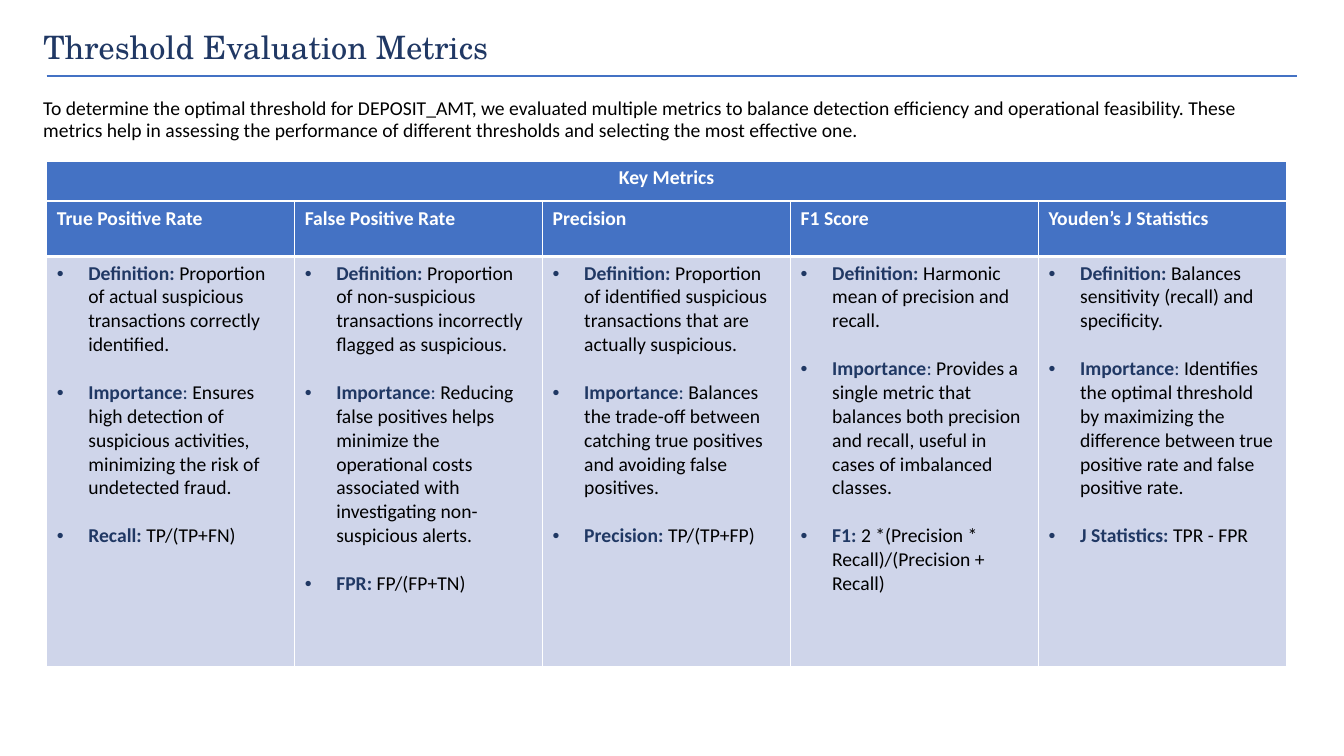
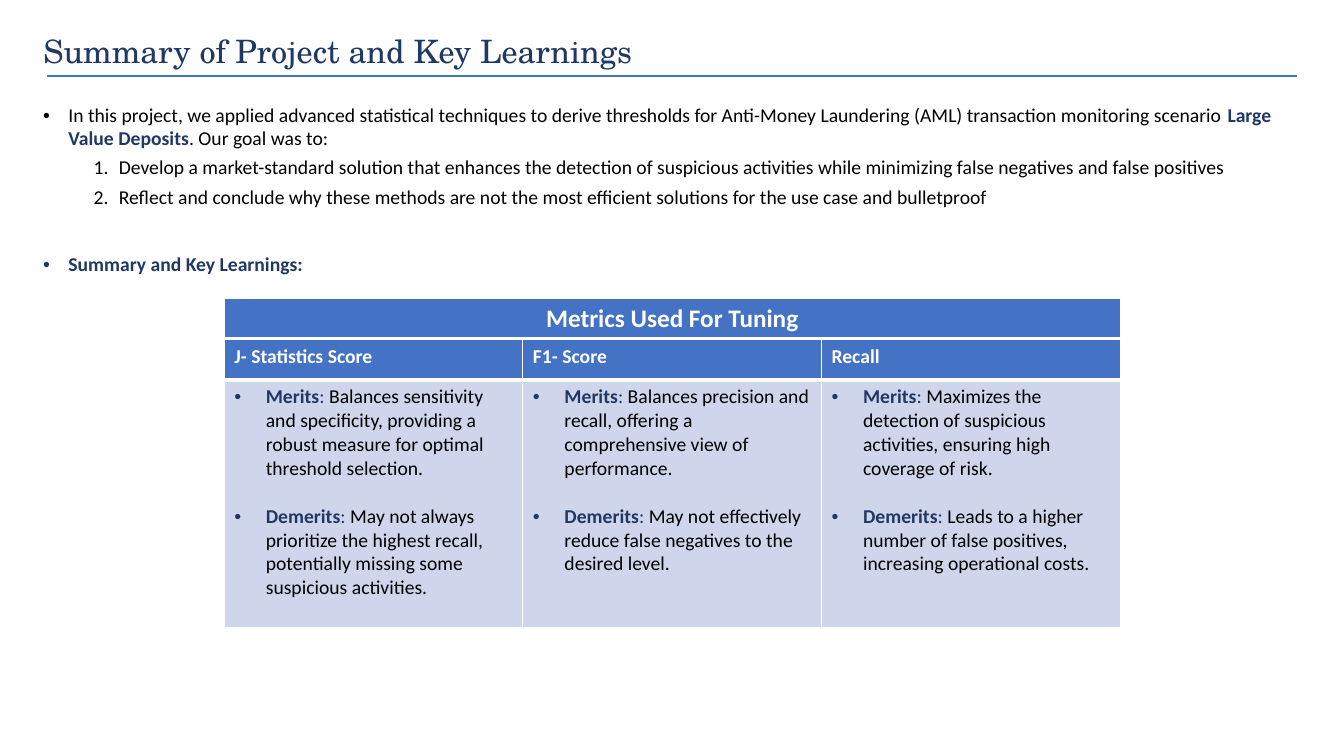
from dataclasses import dataclass

from lxml.etree import SubElement
from pptx import Presentation
from pptx.dml.color import RGBColor
from pptx.enum.shapes import MSO_CONNECTOR
from pptx.enum.text import PP_ALIGN
from pptx.oxml.ns import qn
from pptx.util import Pt

NAVY, BLUE, PALE, BLACK, WHITE = "203864", "4472C4", "CFD5EA", "000000", "FFFFFF"
BODY_FONT, TITLE_FONT = "Calibri", "TeX Gyre Schola"
BODY_SIZE, BLANK_LINE = 14, 17.1
BODY_LEFT, BODY_WIDTH = 23.8, 902.9


@dataclass(frozen=True)
class Span:
    text: str
    color: str = BLACK
    bold: bool = False


@dataclass(frozen=True)
class Point:
    label: str
    text: str

    def spans(self) -> list[Span]:
        """Bold label and plain text; a label without a colon gets a light one."""
        colon = [] if self.label.endswith(": ") else [Span(": ", NAVY)]
        return [Span(self.label, NAVY, True), *colon, Span(self.text)]


@dataclass(frozen=True)
class Column:
    heading: str
    points: list[Point]


@dataclass(frozen=True)
class MetricTable:
    title: str
    title_size: float
    left: float
    top: float
    width: float
    title_height: float
    heading_height: float
    body_height: float
    columns: list[Column]


def rgb(color: str) -> RGBColor:
    return RGBColor.from_string(color)


def set_font(font, size: float, name: str = BODY_FONT) -> None:
    font.size = Pt(size)
    font.name = name


def add_spans(para, spans: list[Span]) -> None:
    set_font(para.font, BODY_SIZE)
    for span in spans:
        run = para.add_run()
        run.text = span.text
        run.font.color.rgb = rgb(span.color)
        run.font.bold = span.bold


def set_bullet(para, margin: float, hanging: float, color: str, numbered: bool = False) -> None:
    properties = para._p.get_or_add_pPr()
    properties.set("marL", str(Pt(margin)))
    properties.set("indent", str(-Pt(hanging)))
    SubElement(SubElement(properties, qn("a:buClr")), qn("a:srgbClr"), val=color)
    if numbered:
        SubElement(properties, qn("a:buFont"), typeface=BODY_FONT)
        SubElement(properties, qn("a:buAutoNum"), type="arabicPeriod")
    else:
        SubElement(properties, qn("a:buFont"), typeface="Arial")
        SubElement(properties, qn("a:buChar"), char="•")


def add_paragraph(frame, first: bool):
    return frame.paragraphs[0] if first else frame.add_paragraph()


def add_text_box(page, left: float, top: float, width: float, height: float):
    frame = page.shapes.add_textbox(Pt(left), Pt(top), Pt(width), Pt(height)).text_frame
    frame.word_wrap = True
    return frame


def add_titled_page(deck, title: str, title_top: float):
    page = deck.slides.add_slide(deck.slide_layouts[6])
    rule = page.shapes.add_connector(
        MSO_CONNECTOR.STRAIGHT, Pt(33.4), Pt(54.2), Pt(926.6), Pt(54.2))
    rule.line.color.rgb = rgb(BLUE)
    rule.line.width = Pt(1)
    SubElement(rule._element.spPr, qn("a:effectLst"))
    para = add_text_box(page, BODY_LEFT, title_top, 785.5, 36).paragraphs[0]
    para.text = title
    set_font(para.font, 23, TITLE_FONT)
    para.font.color.rgb = rgb(NAVY)
    return page


def style_cell(cell, fill: str, bottom_border: float) -> None:
    properties = cell._tc.get_or_add_tcPr()
    for side, width in (("L", 1), ("R", 1), ("T", 1), ("B", bottom_border)):
        border = SubElement(properties, qn(f"a:ln{side}"), w=str(Pt(width)))
        SubElement(SubElement(border, qn("a:solidFill")), qn("a:srgbClr"), val=WHITE)
    cell.fill.solid()
    cell.fill.fore_color.rgb = rgb(fill)


def fill_heading(cell, text: str, size: float = BODY_SIZE):
    style_cell(cell, BLUE, 3)
    para = cell.text_frame.paragraphs[0]
    para.text = text
    set_font(para.font, size)
    para.font.bold = True
    para.font.color.rgb = rgb(WHITE)
    return para


def fill_points(cell, points: list[Point]) -> None:
    style_cell(cell, PALE, 1)
    for index, point in enumerate(points):
        para = add_paragraph(cell.text_frame, index == 0)
        set_bullet(para, 22.5, 22.5, NAVY)
        para.space_before = Pt(BLANK_LINE if index else 0)
        add_spans(para, point.spans())


def add_grid(page, left: float, top: float, width: float, heights: list[float], columns: int):
    grid = page.shapes.add_table(
        len(heights), columns, Pt(left), Pt(top), Pt(width), Pt(sum(heights))).table
    for row, height in zip(grid.rows, heights):
        row.height = Pt(height)
    return grid


def add_metric_table(page, table: MetricTable) -> None:
    banner = add_grid(page, table.left, table.top, table.width, [table.title_height], 1)
    fill_heading(banner.cell(0, 0), table.title, table.title_size).alignment = PP_ALIGN.CENTER
    grid = add_grid(page, table.left, table.top + table.title_height, table.width,
                    [table.heading_height, table.body_height], len(table.columns))
    for index, column in enumerate(table.columns):
        fill_heading(grid.cell(0, index), column.heading)
        fill_points(grid.cell(1, index), column.points)


def metric(heading: str, definition: str, importance: str, label: str, formula: str) -> Column:
    return Column(heading, [Point("Definition: ", definition),
                            Point("Importance", importance),
                            Point(label, formula)])


def tuning(heading: str, merits: str, demerits: str) -> Column:
    return Column(heading, [Point("Merits", merits), Point("Demerits", demerits)])


KEY_METRICS = MetricTable(
    "Key Metrics", 14, 33.4, 115, 885.6, 29.2, 39, 293, [
        metric("True Positive Rate",
               "Proportion of actual suspicious transactions correctly identified.",
               "Ensures high detection of suspicious activities, minimizing the risk of "
               "undetected fraud.",
               "Recall: ", "TP/(TP+FN)"),
        metric("False Positive Rate",
               "Proportion of non-suspicious transactions incorrectly flagged as suspicious.",
               "Reducing false positives helps minimize the operational costs associated "
               "with investigating non-suspicious alerts.",
               "FPR: ", "FP/(FP+TN)"),
        metric("Precision",
               "Proportion of identified suspicious transactions that are actually suspicious.",
               "Balances the trade-off between catching true positives and avoiding false "
               "positives.",
               "Precision: ", "TP/(TP+FP)"),
        metric("F1 Score",
               "Harmonic mean of precision and recall.",
               "Provides a single metric that balances both precision and recall, useful in "
               "cases of imbalanced classes.",
               "F1: ", "2 *(Precision * Recall)/(Precision + Recall)"),
        metric("Youden’s J Statistics",
               "Balances sensitivity (recall) and specificity.",
               "Identifies the optimal threshold by maximizing the difference between true "
               "positive rate and false positive rate.",
               "J Statistics: ", "TPR - FPR"),
    ])

TUNING_METRICS = MetricTable(
    "Metrics Used For Tuning", 18, 160.2, 213.2, 640, 29.2, 29.2, 176.5, [
        tuning("J- Statistics Score",
               "Balances sensitivity and specificity, providing a robust measure for optimal "
               "threshold selection.",
               "May not always prioritize the highest recall, potentially missing some "
               "suspicious activities."),
        tuning("F1- Score",
               "Balances precision and recall, offering a comprehensive view of performance.",
               "May not effectively reduce false negatives to the desired level."),
        tuning("Recall",
               "Maximizes the detection of suspicious activities, ensuring high coverage of "
               "risk.",
               "Leads to a higher number of false positives, increasing operational costs."),
    ])


@dataclass(frozen=True)
class Item:
    spans: list[Span]
    space_before: float
    numbered: bool = False


SUMMARY = [
    Item([Span("In this project, we applied advanced statistical techniques to derive "
               "thresholds for Anti-Money Laundering (AML) transaction monitoring scenario "),
          Span("Large Value Deposits", NAVY, True),
          Span(". Our goal was to:")], 0),
    Item([Span("Develop a market-standard solution that enhances the detection of suspicious "
               "activities while minimizing false negatives and false positives")], 5, True),
    Item([Span("Reflect and conclude why these methods are not the most efficient solutions "
               "for the use case and bulletproof")], 5, True),
    Item([Span("Summary and Key Learnings:", NAVY, True)], 32),
]


def add_metrics_page(deck) -> None:
    page = add_titled_page(deck, "Threshold Evaluation Metrics", 15.8)
    para = add_text_box(page, BODY_LEFT, 66, BODY_WIDTH, 44).paragraphs[0]
    para.line_spacing = 0.96
    add_spans(para, [Span(
        "To determine the optimal threshold for DEPOSIT_AMT, we evaluated multiple metrics to "
        "balance detection efficiency and operational feasibility. These metrics help in "
        "assessing the performance of different thresholds and selecting the most effective "
        "one.")])
    add_metric_table(page, KEY_METRICS)


def add_summary_page(deck) -> None:
    page = add_titled_page(deck, "Summary of Project and Key Learnings", 18.6)
    frame = add_text_box(page, BODY_LEFT, 71.3, BODY_WIDTH, 138)
    for index, item in enumerate(SUMMARY):
        para = add_paragraph(frame, index == 0)
        para.level = int(item.numbered)
        set_bullet(para, 54 if item.numbered else 18, 18, item.spans[0].color, item.numbered)
        para.line_spacing = 0.96
        para.space_before = Pt(item.space_before)
        add_spans(para, item.spans)
    add_metric_table(page, TUNING_METRICS)


def main() -> None:
    deck = Presentation()
    deck.slide_width, deck.slide_height = Pt(960), Pt(540)
    add_metrics_page(deck)
    add_summary_page(deck)
    deck.save("out.pptx")


if __name__ == "__main__":
    main()
